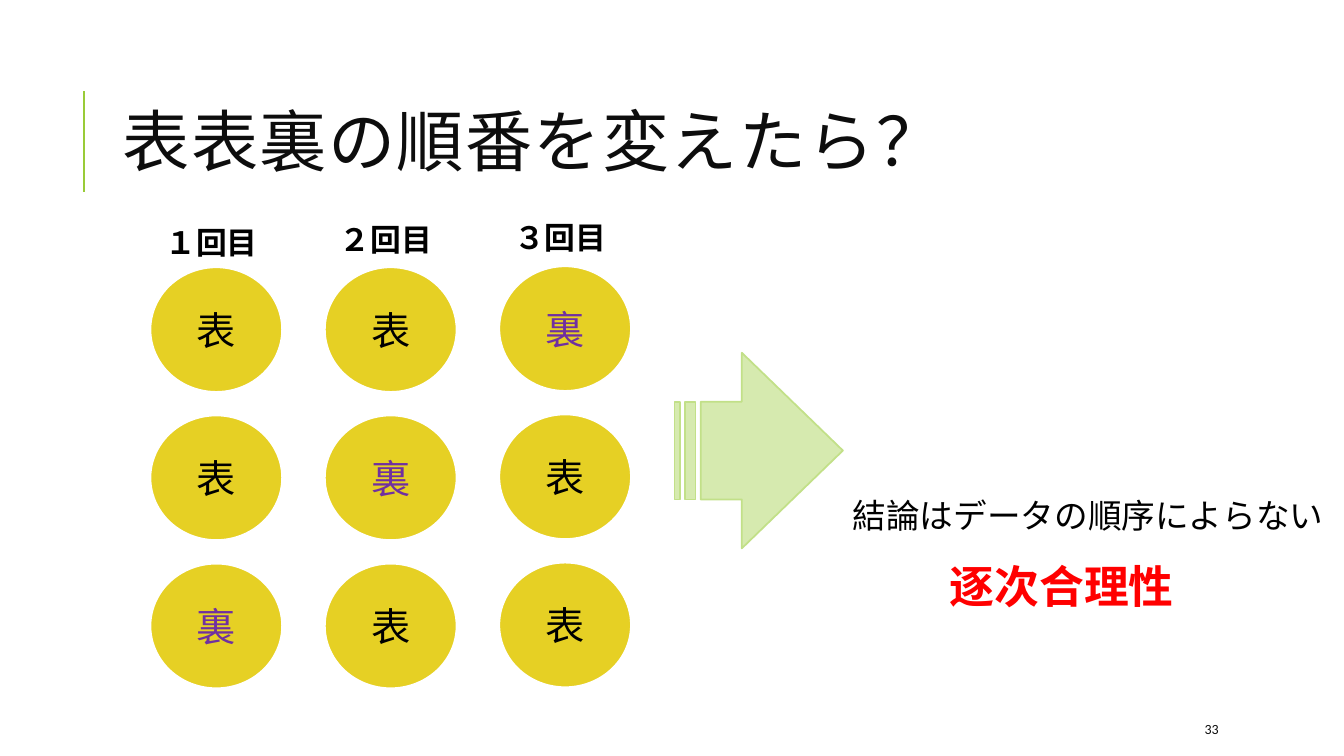
"""Build a slide showing that the order of coin tosses does not change the conclusion."""
from pptx import Presentation
from pptx.dml.color import RGBColor
from pptx.enum.shapes import MSO_CONNECTOR, MSO_SHAPE
from pptx.enum.text import MSO_ANCHOR, PP_ALIGN
from pptx.util import Inches, Pt
from lxml import etree

STRAIGHT = MSO_CONNECTOR.STRAIGHT
COIN, ARROW = MSO_SHAPE.FLOWCHART_CONNECTOR, MSO_SHAPE.STRIPED_RIGHT_ARROW
TOP, MIDDLE = MSO_ANCHOR.TOP, MSO_ANCHOR.MIDDLE
LEFT, CENTER = PP_ALIGN.LEFT, PP_ALIGN.CENTER
DRAWING = "http://schemas.openxmlformats.org/drawingml/2006/main"

presentation = Presentation()
presentation.slide_width, presentation.slide_height = Inches(13.33), Inches(7.5)
slide = presentation.slides.add_slide(presentation.slide_layouts[6])


def add_text(shape, text, size, color, font="Arial", bold=False, anchor=TOP, align=LEFT, wrap=True):
    """Write one styled run into a shape and return its paragraph."""
    frame = shape.text_frame
    frame.word_wrap, frame.vertical_anchor = wrap, anchor
    paragraph = frame.paragraphs[0]
    paragraph.alignment = align
    run = paragraph.add_run()
    run.text = text
    run.font.size, run.font.name, run.font.bold = Pt(size), font, bold
    run.font.color.rgb = RGBColor.from_string(color)
    return paragraph


def add_filled(kind, box, fill, line, width):
    """Add a preset shape with a plain fill and outline."""
    shape = slide.shapes.add_shape(kind, *map(Inches, box))
    shape.shadow.inherit = False
    shape.fill.solid()
    shape.fill.fore_color.rgb = RGBColor.from_string(fill)
    shape.line.color.rgb = RGBColor.from_string(line)
    shape.line.width = Pt(width)
    return shape


title_rule = slide.shapes.add_connector(STRAIGHT, Inches(0.83), Inches(1.9), Inches(0.83), Inches(0.9))
title_rule.line.color.rgb = RGBColor.from_string("99CB38")
title_rule.line.width = Pt(1.5)
etree.SubElement(title_rule._element.spPr, f"{{{DRAWING}}}effectLst")

title = slide.shapes.add_textbox(Inches(1.12), Inches(0.64), Inches(11.81), Inches(1.64))
title_paragraph = add_text(title, "表表裏の順番を変えたら？", 48, "0D0D0D", "Calibri", anchor=MIDDLE)
title_paragraph.line_spacing = 0.8
title_paragraph.runs[0].font._element.set("spc", "100")

page_number = slide.shapes.add_textbox(Inches(11.85), Inches(7.08), Inches(1.06), Inches(0.3))
add_text(page_number, "33", 10, "0D0D0D", "Calibri", anchor=MIDDLE)

FACE_COLORS = {"表": "000000", "裏": "7030A0"}
COLUMN_STEP, ROW_STEP = 1.73, 1.47
tosses = [
    ("１回目", 2.21, 2.65, "表表裏"),
    ("２回目", 2.18, 2.65, "表裏表"),
    ("３回目", 2.16, 2.64, "裏表表"),
]
for column, (heading, heading_top, coin_top, faces) in enumerate(tosses):
    offset = column * COLUMN_STEP
    label = slide.shapes.add_textbox(Inches(1.59 + offset), Inches(heading_top), Inches(1.13), Inches(0.43))
    frame = label.text_frame
    frame.margin_left = frame.margin_right = frame.margin_top = frame.margin_bottom = Inches(0.05)
    heading_paragraph = add_text(label, heading, 22, "000000", bold=True)
    heading_paragraph.line_spacing, heading_paragraph.space_after = 0.9, Pt(2)
    for row, face in enumerate(faces):
        box = (1.49 + offset, coin_top + row * ROW_STEP, 1.31, 1.24)
        coin = add_filled(COIN, box, "E6D024", "FFFFFF", 1.5)
        add_text(coin, face, 28, FACE_COLORS[face], anchor=MIDDLE, align=CENTER)

arrow = add_filled(ARROW, (6.69, 3.5, 1.67, 1.94), "D6EAAF", "C2E088", 1.25)
arrow.adjustments[0], arrow.adjustments[1] = 0.5, 0.6

conclusion = slide.shapes.add_textbox(Inches(8.36), Inches(4.86), Inches(4.9), Inches(0.5))
add_text(conclusion, "結論はデータの順序によらない", 24, "000000", wrap=False)
principle = slide.shapes.add_textbox(Inches(9.32), Inches(5.49), Inches(2.75), Inches(0.64))
add_text(principle, "逐次合理性", 32, "FF0000", bold=True)

presentation.save("out.pptx")
